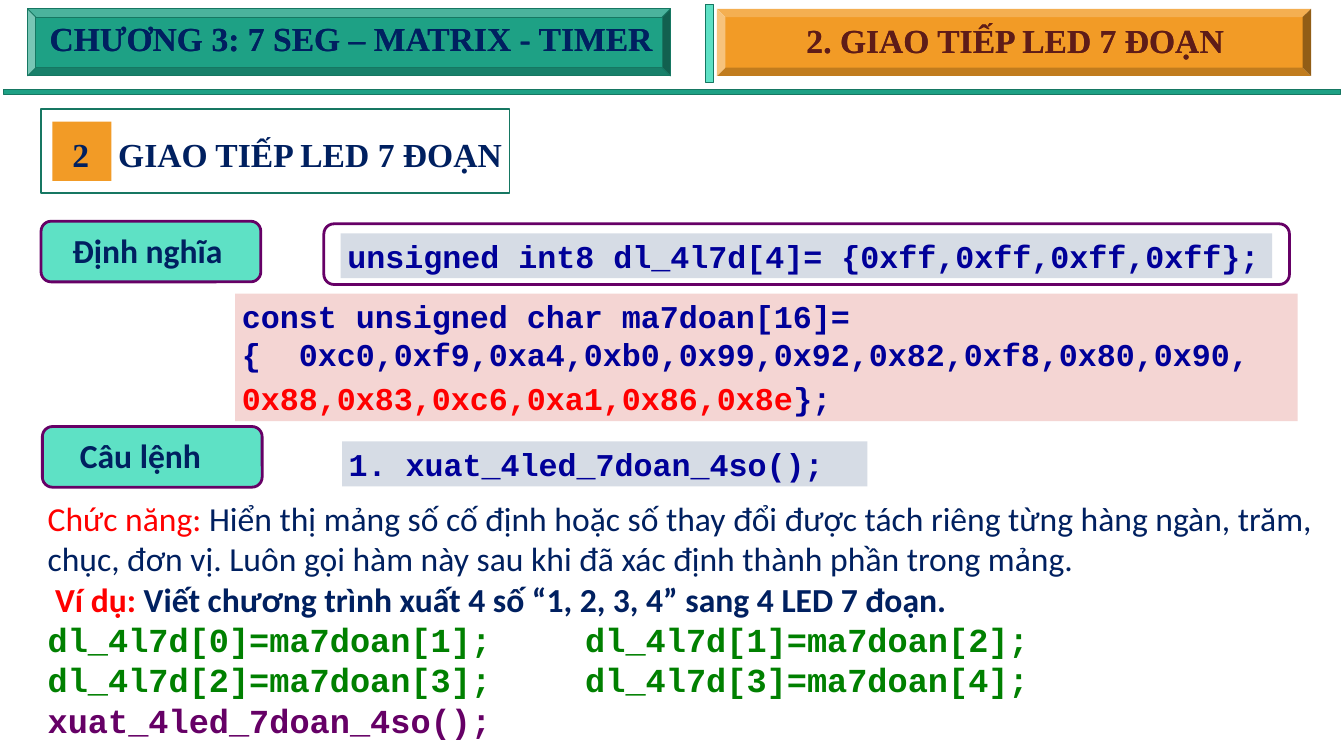
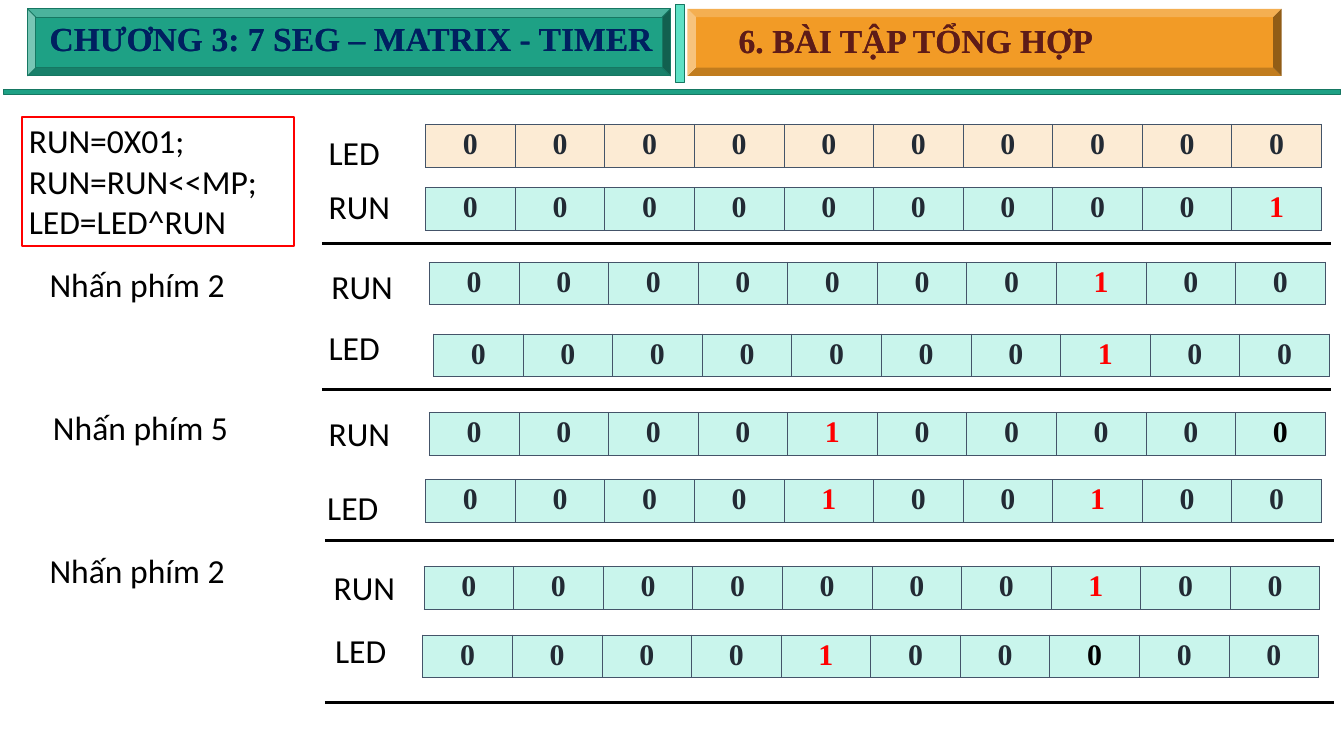
import dataclasses
import typing

import lxml.etree
import pptx
import pptx.dml.color
import pptx.enum.shapes
import pptx.enum.text
import pptx.oxml.ns
import pptx.util

Pt = pptx.util.Pt
Shapes = pptx.enum.shapes.MSO_SHAPE
Align = pptx.enum.text.PP_ALIGN

NAVY, BLUE, MAROON, PURPLE = "002060", "000099", "5E1C18", "660066"
GREEN, DARK_GREEN, MINT, PALE_MINT = "1EA185", "167762", "5EE1C5", "C9F5EC"
ORANGE, PEACH, ROSE, GRAY_BLUE = "F29B26", "FCEBD4", "F4D5D3", "D6DCE5"
RED, BLACK, SLATE, BORDER, CODE_GREEN = "FF0000", "000000", "222A34", "445469", "008000"
SERIF, SANS, MONO = "Times New Roman", "Calibri", "Courier New"
LINE_HEIGHT = 51


class Box(typing.NamedTuple):
    left: float
    top: float
    width: float
    height: float = LINE_HEIGHT

    def lengths(self) -> list:
        return [Pt(value) for value in self]


class Outline(typing.NamedTuple):
    color: str
    width: float


@dataclasses.dataclass(frozen=True)
class Style:
    font: str
    size: float
    color: str
    bold: bool = False
    outline: typing.Optional[Outline] = None

    def tinted(self, color: str) -> "Style":
        return dataclasses.replace(self, color=color)


class Span(typing.NamedTuple):
    text: str
    style: Style


class Line(typing.NamedTuple):
    spans: list[Span]
    align: typing.Optional[Align] = None
    space_after: float = 0
    indent: float = 0
    tab: float = 0


class RegisterRow(typing.NamedTuple):
    name: str
    name_left: float
    name_top: float
    left: float
    top: float
    bits: str
    fill: str = PALE_MINT
    black_bit: int = -1


HEADING = Style(SERIF, 36, NAVY, True)
LABEL = Style(SANS, 36, NAVY, True)
BODY = Style(SANS, 36, BLACK)
CODE = Style(MONO, 34, BLUE, True)
EXAMPLE = Style(MONO, 36, CODE_GREEN, True)
BIT = Style(SERIF, 32, SLATE, True)

REGISTER_ROWS = [
    RegisterRow("LED", 345, 137.5, 456, 133.2, "0000000000", PEACH),
    RegisterRow("RUN", 345, 196, 456, 201, "0000000001"),
    RegisterRow("RUN", 348, 281.5, 460, 281, "0000000100"),
    RegisterRow("LED", 345, 346.3, 464.4, 358, "0000000100"),
    RegisterRow("RUN", 345, 439, 460, 442, "0000100000", black_bit=9),
    RegisterRow("LED", 343.5, 518.5, 456, 514, "0000100100"),
    RegisterRow("RUN", 350.5, 604, 454.3, 607, "0000000100"),
    RegisterRow("LED", 352, 671, 453, 680.4, "0000100000", black_bit=7),
]
KEY_PRESSES = [("Nhấn phím 2", 46, 279.4), ("Nhấn phím 5", 49.7, 432.7),
               ("Nhấn phím 2", 46, 586)]
SEPARATORS = [(345, 260.6), (345, 417), (348, 579), (348, 753)]


def rgb(color: str) -> pptx.dml.color.RGBColor:
    return pptx.dml.color.RGBColor.from_string(color)


def add_solid_line(parent, tag: str, outline: Outline):
    """Append a line element such as a:ln or a:lnL with a solid colour."""
    element = lxml.etree.SubElement(parent, pptx.oxml.ns.qn(tag), w=str(Pt(outline.width)))
    fill = lxml.etree.SubElement(element, pptx.oxml.ns.qn("a:solidFill"))
    lxml.etree.SubElement(fill, pptx.oxml.ns.qn("a:srgbClr"), val=outline.color)
    return element


def format_run(run, style: Style) -> None:
    font = run.font
    font.name, font.size, font.bold = style.font, Pt(style.size), style.bold
    font.color.rgb = rgb(style.color)
    if style.outline:
        properties = run._r.get_or_add_rPr()
        properties.insert(0, add_solid_line(properties, "a:ln", style.outline))


def write_lines(text_frame, lines: list[Line], wrap: bool = True) -> None:
    text_frame.word_wrap = wrap
    text_frame.auto_size = pptx.enum.text.MSO_AUTO_SIZE.SHAPE_TO_FIT_TEXT
    text_frame.vertical_anchor = pptx.enum.text.MSO_ANCHOR.TOP
    for index, line in enumerate(lines):
        paragraph = text_frame.add_paragraph() if index else text_frame.paragraphs[0]
        paragraph.alignment = line.align or Align.LEFT
        paragraph.space_after = Pt(line.space_after)
        properties = paragraph._p.get_or_add_pPr()
        if line.indent:
            properties.set("indent", str(Pt(line.indent)))
        if line.tab:
            stops = lxml.etree.SubElement(properties, pptx.oxml.ns.qn("a:tabLst"))
            lxml.etree.SubElement(stops, pptx.oxml.ns.qn("a:tab"),
                                  pos=str(Pt(line.tab)), algn="l")
        for span in line.spans:
            run = paragraph.add_run()
            run.text = span.text
            format_run(run, span.style)


def add_text(slide, box: Box, lines: list[Line]) -> None:
    write_lines(slide.shapes.add_textbox(*box.lengths()).text_frame, lines)


def add_label(slide, box: Box, text: str, style: Style,
              align: typing.Optional[Align] = None) -> None:
    add_text(slide, box, [Line([Span(text, style)], align)])


def add_shape(slide, kind: Shapes, box: Box, fill: typing.Optional[str] = None,
              outline: typing.Optional[Outline] = None):
    shape = slide.shapes.add_shape(kind, *box.lengths())
    shape.shadow.inherit = False
    if fill:
        shape.fill.solid()
        shape.fill.fore_color.rgb = rgb(fill)
    else:
        shape.fill.background()
    if outline:
        shape.line.color.rgb = rgb(outline.color)
        shape.line.width = Pt(outline.width)
    else:
        shape.line.fill.background()
    return shape


def add_outlined_title(slide, box: Box, text: str, style: Style, outline: Outline) -> None:
    """Draw the title over a copy with thick coloured letter edges."""
    for layer in (dataclasses.replace(style, outline=outline), style):
        add_label(slide, box, text, layer)


def add_header(slide, section: str, band_left: float, section_left: float) -> None:
    edge = Outline(DARK_GREEN, 1)
    add_shape(slide, Shapes.MATH_MINUS, Box(-255, 86.4, 1950, 23.8), GREEN, edge)
    add_shape(slide, Shapes.BEVEL, Box(29.5, 9.4, 689, 72), GREEN, edge)
    add_outlined_title(slide, Box(46, 15.8, 882), "CHƯƠNG 3: 7 SEG – MATRIX - TIMER",
                       HEADING, Outline(GREEN, 2.75))
    add_shape(slide, Shapes.MATH_MINUS, Box(band_left - 14, -131, 12.2, 355), MINT, edge)
    add_shape(slide, Shapes.BEVEL, Box(band_left, 9.4, 636.5, 72), ORANGE)
    add_outlined_title(slide, Box(section_left, 18, 534), section,
                       HEADING.tinted(MAROON), Outline("DE827B", 2.25))


def add_code_box(slide, box: Box, fill: str, lines: list[Line]) -> None:
    write_lines(add_shape(slide, Shapes.RECTANGLE, box, fill).text_frame, lines)


def add_tag(slide, left: float, top: float, text: str, text_left: float) -> None:
    add_shape(slide, Shapes.ROUNDED_RECTANGLE, Box(left, top, 235.5, 65),
              MINT, Outline(PURPLE, 3))
    add_label(slide, Box(text_left, top + 5.5, 435.6), text, LABEL)


def add_register(slide, row: RegisterRow) -> None:
    add_label(slide, Box(row.name_left, row.name_top, 92), row.name, BODY, Align.JUSTIFY)
    box = Box(row.left, row.top, 96 * len(row.bits), 45.4)
    table = slide.shapes.add_table(1, len(row.bits), *box.lengths()).table
    table.first_row = table.horz_banding = False
    for index, bit in enumerate(row.bits):
        cell = table.cell(0, index)
        cell.text_frame.text = bit
        paragraph = cell.text_frame.paragraphs[0]
        paragraph.alignment = Align.CENTER
        color = BLACK if index == row.black_bit else RED if bit == "1" else SLATE
        format_run(paragraph.runs[0], BIT.tinted(color))
        properties = cell._tc.get_or_add_tcPr()
        for side in "LRTB":
            add_solid_line(properties, f"a:ln{side}", Outline(BORDER, 1))
        cell.fill.solid()
        cell.fill.fore_color.rgb = rgb(row.fill)


def add_separator(slide, left: float, top: float) -> None:
    connector = slide.shapes.add_connector(pptx.enum.shapes.MSO_CONNECTOR.STRAIGHT,
                                           Pt(left), Pt(top), Pt(left + 1081.5), Pt(top))
    connector.line.color.rgb = rgb(BLACK)
    connector.line.width = Pt(3)
    lxml.etree.SubElement(connector._element.spPr, pptx.oxml.ns.qn("a:effectLst"))


def build_display_slide(slide) -> None:
    add_shape(slide, Shapes.RECTANGLE, Box(56, 130.3, 63.4, 63.4), ORANGE)
    add_shape(slide, Shapes.RECTANGLE, Box(44, 116.6, 502, 90), None, Outline(DARK_GREEN, 2))
    add_label(slide, Box(119.5, 139.7, 435.6), "GIAO TIẾP LED 7 ĐOẠN", HEADING)
    add_label(slide, Box(70.5, 139.7, 287), "2", HEADING)
    add_header(slide, "2. GIAO TIẾP LED 7 ĐOẠN", 768.2, 857)

    add_code_box(slide, Box(365, 250, 998, 48.2), GRAY_BLUE, [
        Line([Span("unsigned int8 dl_4l7d[4]= {0xff,0xff,0xff,0xff};", CODE)], space_after=6)])
    add_shape(slide, Shapes.ROUNDED_RECTANGLE, Box(347, 239.8, 1034.6, 65),
              None, Outline(PURPLE, 3))
    add_tag(slide, 44, 237, "Định nghĩa", 70.5)
    add_tag(slide, 45.4, 457, "Câu lệnh", 78.5)
    add_code_box(slide, Box(366.5, 473, 563, 48.2), GRAY_BLUE, [
        Line([Span("1. xuat_4led_7doan_4so();", CODE)], space_after=6)])

    add_text(slide, Box(44, 530, 1386.7, 274), [
        Line([Span("Chức năng: ", BODY.tinted(RED)),
              Span("Hiển thị mảng số cố định hoặc số thay đổi được tách riêng từng hàng ngàn, "
                   "trăm, chục, đơn vị. Luôn gọi hàm này sau khi đã xác định thành phần "
                   "trong mảng.", BODY.tinted(NAVY))]),
        Line([Span("Ví dụ: ", LABEL.tinted(RED)),
              Span("Viết chương trình xuất 4 số “1, 2, 3, 4” sang 4 LED 7 đoạn.", LABEL)],
             indent=8),
        Line([Span("dl_4l7d[0]=ma7doan[1];\tdl_4l7d[1]=ma7doan[2];", EXAMPLE)], tab=576),
        Line([Span("dl_4l7d[2]=ma7doan[3];\tdl_4l7d[3]=ma7doan[4];", EXAMPLE)], tab=576),
        Line([Span("xuat_4led_7doan_4so();", EXAMPLE.tinted(PURPLE))]),
    ])
    add_code_box(slide, Box(252, 314.6, 1138.3, 136.8), ROSE, [
        Line([Span("const unsigned char ma7doan[16]=", CODE)]),
        Line([Span("{  0xc0,0xf9,0xa4,0xb0,0x99,0x92,0x82,0xf8,0x80,0x90,", CODE)],
             space_after=6),
        Line([Span("0x88,0x83,0xc6,0xa1,0x86,0x8e", CODE.tinted(RED)), Span("};", CODE)],
             space_after=6),
    ])


def build_exercise_slide(slide) -> None:
    add_header(slide, "6. BÀI TẬP TỔNG HỢP", 736.6, 784.4)
    formula = add_shape(slide, Shapes.RECTANGLE, Box(23.8, 125.3, 291, 138.2),
                        None, Outline(RED, 2))
    write_lines(formula.text_frame,
                [Line([Span(text, BODY)], Align.JUSTIFY)
                 for text in ("RUN=0X01;", "RUN=RUN<<MP;", "LED=LED^RUN")], wrap=False)
    for text, left, top in KEY_PRESSES:
        add_label(slide, Box(left, top, 294), text, BODY, Align.JUSTIFY)
    for row in REGISTER_ROWS:
        add_register(slide, row)
    for left, top in SEPARATORS:
        add_separator(slide, left, top)


def main() -> None:
    presentation = pptx.Presentation()
    presentation.slide_width, presentation.slide_height = Pt(1440), Pt(810)
    for build in (build_display_slide, build_exercise_slide):
        build(presentation.slides.add_slide(presentation.slide_layouts[6]))
    presentation.save("out.pptx")


if __name__ == "__main__":
    main()
